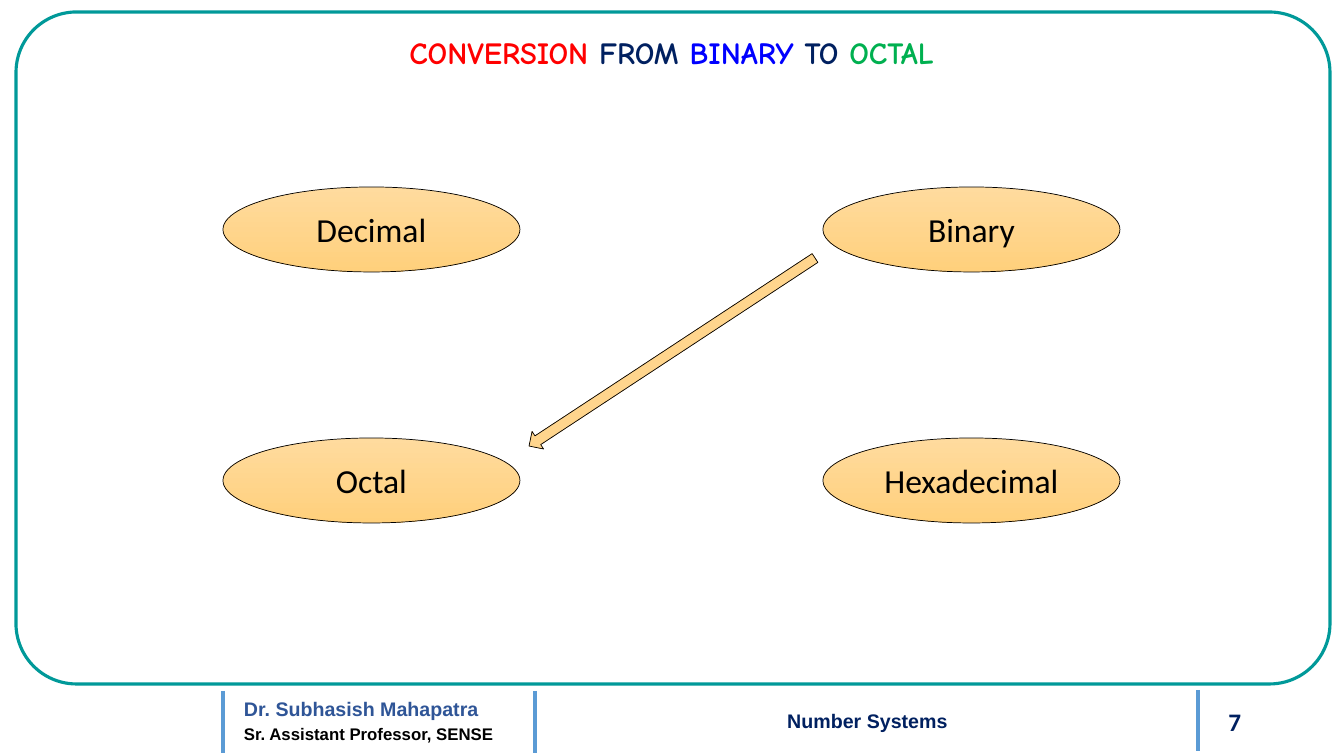
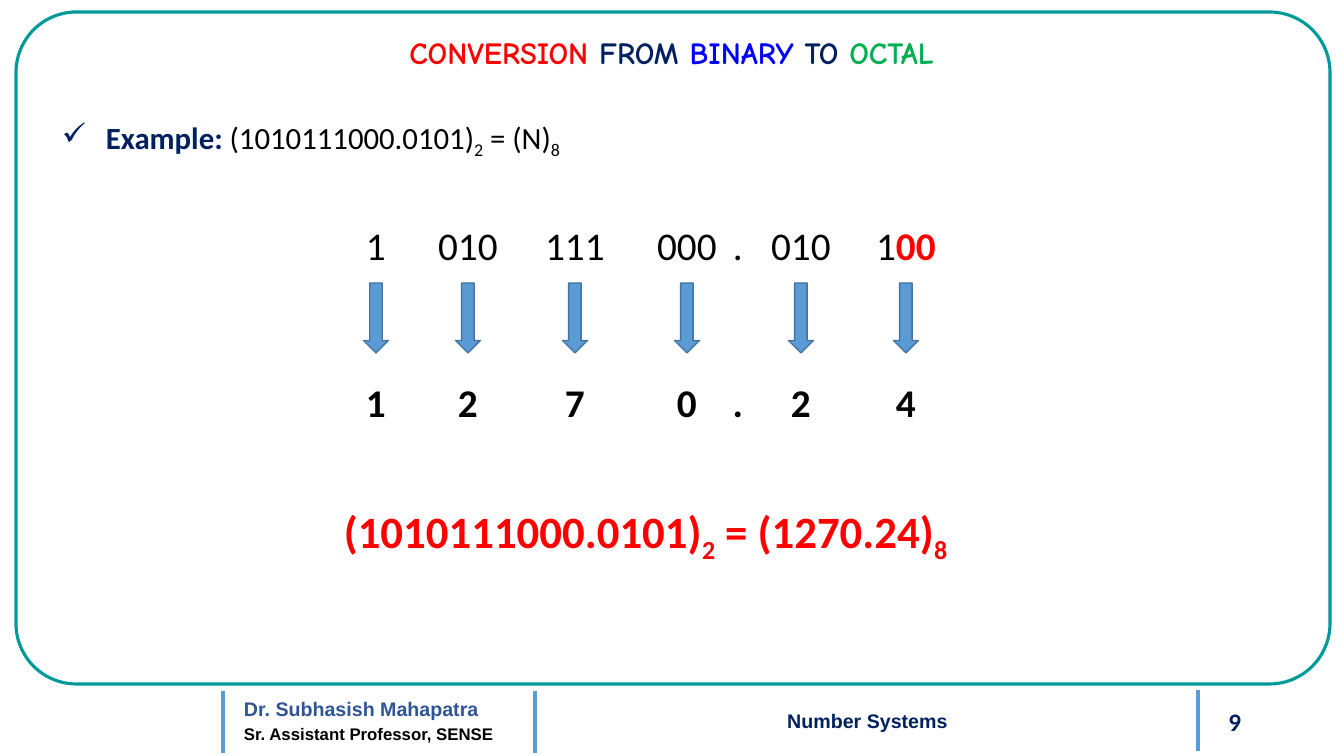
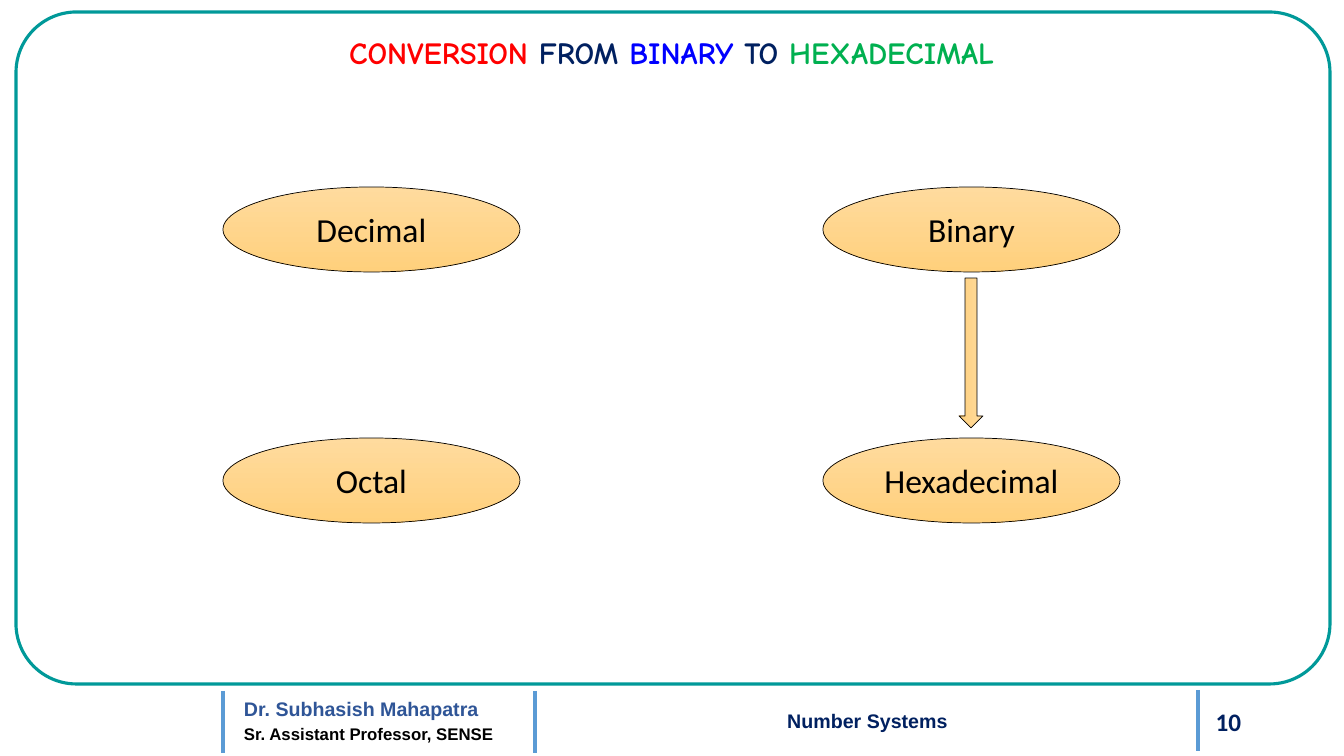
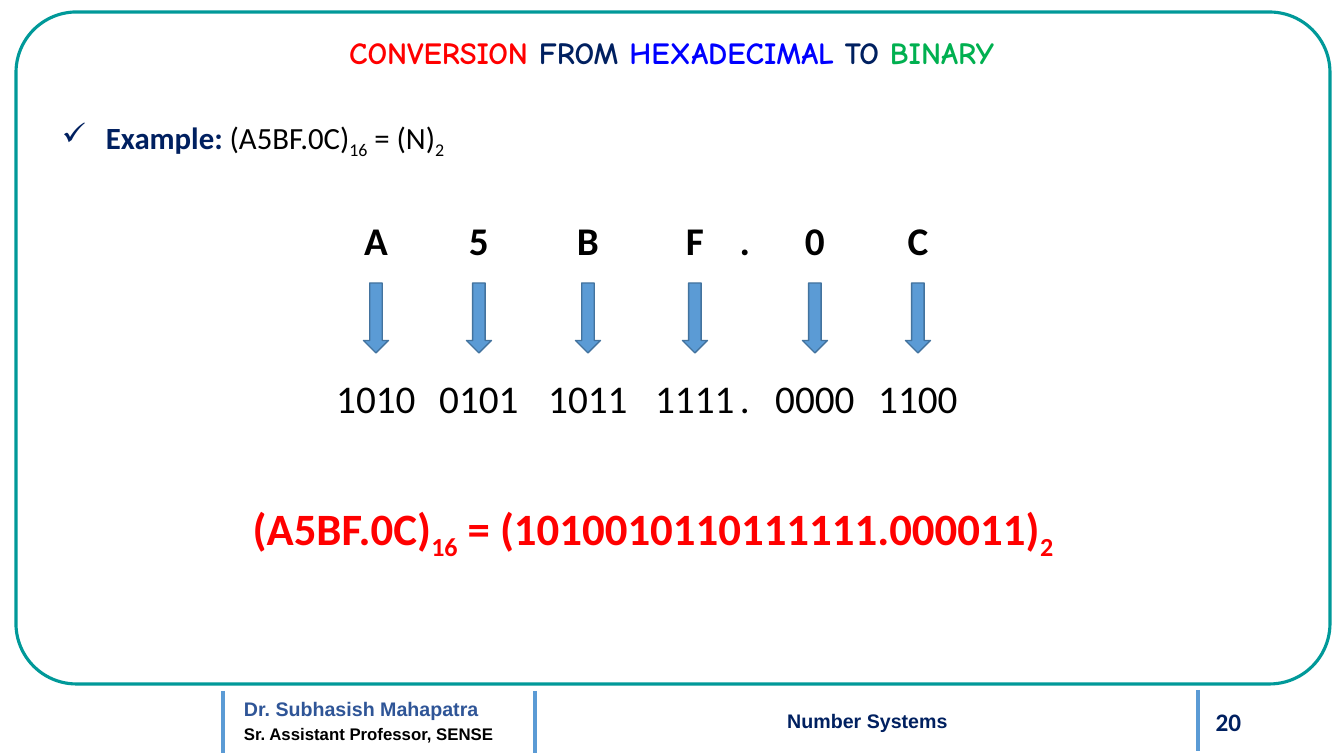
import math

import pptx
import pptx.util
import pptx.dml.color
import pptx.enum.shapes
import pptx.enum.text
import pptx.oxml.ns
from lxml import etree

SHAPE = pptx.enum.shapes.MSO_SHAPE
ALIGN = pptx.enum.text.PP_ALIGN
ANCHOR = pptx.enum.text.MSO_ANCHOR


class Theme:
    black, white, red = "000000", "FFFFFF", "FF0000"
    navy, blue, green = "002060", "0000FF", "00B050"
    teal, name = "009999", "2F5597"
    sky, edge = "5B9BD5", "43739E"
    light, deep = "FFDB9E", "FFD07C"
    body, foot, head = "Calibri", "Arial", "Comic Neue"
    title, node, digit, answer = 22, 24, 28, 32
    note, small, page = 14, 12, 18


SUB = {"sub": True}
NODES = [["Decimal", "Binary"], ["Octal", "Hexadecimal"]]
NODE_X, NODE_Y = (223, 823), (187, 438)
NODE_W, NODE_H = 297, 85
BARS = [(535, 691, 753), (223, 691, 753), (1198, 690, 751)]
ROW_X, ROW_W = 325, 655
ARROW_Y, ARROW_W, ARROW_H = 283, 25, 70
INSET = 10

SLIDES = [
    {"page": "7", "title": ("BINARY", "OCTAL"),
     "arrow": ((815, 258), (529, 446), 21)},
    {"page": "9", "title": ("BINARY", "OCTAL"),
     "number": ("1010111000.0101", "2"), "result": ("1270.24", "8"),
     "stops": [376, 468, 575, 687, 738, 801, 906],
     "top": (216, False, ["1", "010", "111", "000", ".", "010", "1"],
             "00"),
     "low": (373, True, ["1", "2", "7", "0", ".", "2", "4"], ""),
     "answer": (223, 499, 845)},
    {"page": "10", "title": ("BINARY", "HEXADECIMAL"),
     "arrow": ((971, 278), (971, 428), 24)},
    {"page": "20", "title": ("HEXADECIMAL", "BINARY"),
     "number": ("A5BF.0C", "16"), "result": ("1010010110111111.000011", "2"),
     "stops": [376, 479, 588, 695, 745, 815, 918],
     "top": (211, True, ["A", "5", "B", "F", ".", "0", "C"], ""),
     "low": (369, False,
             ["1010", "0101", "1011", "1111", ".", "0000", "1100"], ""),
     "answer": (202, 496, 902)},
]


def px(n):
    return round(n * 914400 / 100.8)


def rgb(code):
    return pptx.dml.color.RGBColor.from_string(code)


def child(parent, tag, **attrs):
    return etree.SubElement(parent, pptx.oxml.ns.qn(tag), attrs)


def text(shape, paras, size=Theme.title, font=Theme.body, color=Theme.black,
         bold=False, align=ALIGN.LEFT, anchor=ANCHOR.TOP, lead=None,
         bullet=None, hang=0, stops=()):
    """Fill a shape; a run is a string or a (string, format changes) pair."""
    frame = shape.text_frame
    frame.word_wrap = True
    frame.vertical_anchor = anchor
    for i, runs in enumerate(paras):
        para = frame.add_paragraph() if i else frame.paragraphs[0]
        para.alignment = align
        if lead:
            para.line_spacing = lead
        props = para._p.get_or_add_pPr()
        if bullet:
            props.set("marL", str(px(hang)))
            props.set("indent", str(-px(hang)))
            child(props, "a:buChar", char=bullet)
        if stops:
            tabs = child(props, "a:tabLst")
            for stop in stops:
                child(tabs, "a:tab", pos=str(px(stop)), algn="ctr")
        for item in runs:
            words, own = (item, {}) if isinstance(item, str) else item
            run = para.add_run()
            run.text = words
            run.font.name = font
            run.font.size = pptx.util.Pt(own.get("size", size))
            run.font.bold = own.get("bold", bold)
            run.font.color.rgb = rgb(own.get("color", color))
            if own.get("sub"):
                run._r.get_or_add_rPr().set("baseline", "-25000")


def label(slide, x, y, w, h, paras, **form):
    box = slide.shapes.add_textbox(px(x), px(y), px(w), px(h))
    text(box, paras, **form)


def shape(slide, kind, x, y, w, h, fill, line, width):
    """Draw a preset shape; a pair of fills makes a downward gradient."""
    item = slide.shapes.add_shape(kind, px(x), px(y), px(w), px(h))
    item.shadow.inherit = False
    if isinstance(fill, tuple):
        item.fill.gradient()
        item.fill.gradient_angle = 270
        for stop, code in zip(item.fill.gradient_stops, fill):
            stop.color.rgb = rgb(code)
    else:
        item.fill.solid()
        item.fill.fore_color.rgb = rgb(fill)
    item.line.color.rgb = rgb(line)
    item.line.width = pptx.util.Pt(width)
    return item


def gold(slide, kind, x, y, w, h):
    return shape(slide, kind, x, y, w, h, (Theme.light, Theme.deep),
                 Theme.black, 0.5)


def base(slide, page, title):
    """Draw the border, footer and title that every slide has."""
    border = shape(slide, SHAPE.ROUNDED_RECTANGLE, 16, 12, 1314, 672,
                   Theme.white, Theme.teal, 2.25)
    border.adjustments[0] = 0.09
    label(slide, 234, 687, 338, 64,
          [["Dr. Subhasish Mahapatra"],
           [("Sr. Assistant Professor, SENSE",
             {"size": Theme.small, "color": Theme.black})]],
          size=Theme.note, font=Theme.foot, color=Theme.name, bold=True,
          align=ALIGN.JUSTIFY, lead=1.2)
    label(slide, 1113, 701, 138, 40, [[page]], size=Theme.page,
          color=Theme.navy, bold=True, align=ALIGN.RIGHT,
          anchor=ANCHOR.MIDDLE)
    label(slide, 601, 704, 533, 34, [["Number Systems"]], size=Theme.note,
          font=Theme.foot, color=Theme.navy, bold=True, align=ALIGN.CENTER)
    for x, top, end in BARS:
        bar = slide.shapes.add_connector(
            pptx.enum.shapes.MSO_CONNECTOR.STRAIGHT,
            px(x), px(top), px(x), px(end))
        bar.line.color.rgb = rgb(Theme.sky)
        bar.line.width = pptx.util.Pt(3)
        child(bar._element.spPr, "a:effectLst")
    source, target = title
    label(slide, 52, 29, 1239, 47,
          [[("CONVERSION", {"color": Theme.red}), " FROM ",
            (source, {"color": Theme.blue}), " TO ",
            (target, {"color": Theme.green})]],
          font=Theme.head, color=Theme.navy, bold=True, align=ALIGN.CENTER)


def graph(slide, start, end, thick):
    """Draw the four systems and one arrow between two points."""
    for names, y in zip(NODES, NODE_Y):
        for name, x in zip(names, NODE_X):
            node = gold(slide, SHAPE.OVAL, x, y, NODE_W, NODE_H)
            text(node, [[name]], size=Theme.node, align=ALIGN.CENTER,
                 anchor=ANCHOR.MIDDLE)
    dx, dy = end[0] - start[0], end[1] - start[1]
    size = math.hypot(dx, dy)
    left = (start[0] + end[0] - size) / 2
    top = (start[1] + end[1] - thick) / 2
    arrow = gold(slide, SHAPE.RIGHT_ARROW, left, top, size, thick)
    arrow.rotation = math.degrees(math.atan2(dy, dx))


def row(slide, stops, y, bold, cells, pad):
    """Centre each cell on its tab stop; pad holds added zeros."""
    runs = ["".join("\t" + cell for cell in cells)]
    if pad:
        runs.append((pad, {"color": Theme.red, "bold": True}))
    label(slide, ROW_X, y, ROW_W, 57, [runs], size=Theme.digit, bold=bold,
          stops=[stop - ROW_X - INSET for stop in stops])


def example(slide, data):
    number, radix = data["number"]
    result, target = data["result"]
    stops = data["stops"]
    label(slide, 52, 105, 1239, 52,
          [[("Example: ", {"color": Theme.navy, "bold": True}),
            f"({number})", (radix, SUB), " = (N)", (target, SUB)]],
          lead=1.2, bullet="✓", hang=44)
    x, y, w = data["answer"]
    label(slide, x, y, w, 65,
          [[f"({number})", (radix, SUB), f" = ({result})", (target, SUB)]],
          size=Theme.answer, color=Theme.red, bold=True, align=ALIGN.CENTER)
    row(slide, stops, *data["top"])
    for stop, cell in zip(stops, data["top"][2]):
        if cell != ".":
            shape(slide, SHAPE.DOWN_ARROW, stop - ARROW_W / 2, ARROW_Y,
                  ARROW_W, ARROW_H, Theme.sky, Theme.edge, 1)
    row(slide, stops, *data["low"])


def main():
    deck = pptx.Presentation()
    deck.slide_width, deck.slide_height = px(1344), px(756)
    for data in SLIDES:
        slide = deck.slides.add_slide(deck.slide_layouts[6])
        base(slide, data["page"], data["title"])
        if "arrow" in data:
            graph(slide, *data["arrow"])
        else:
            example(slide, data)
    deck.save("out.pptx")


if __name__ == "__main__":
    main()
